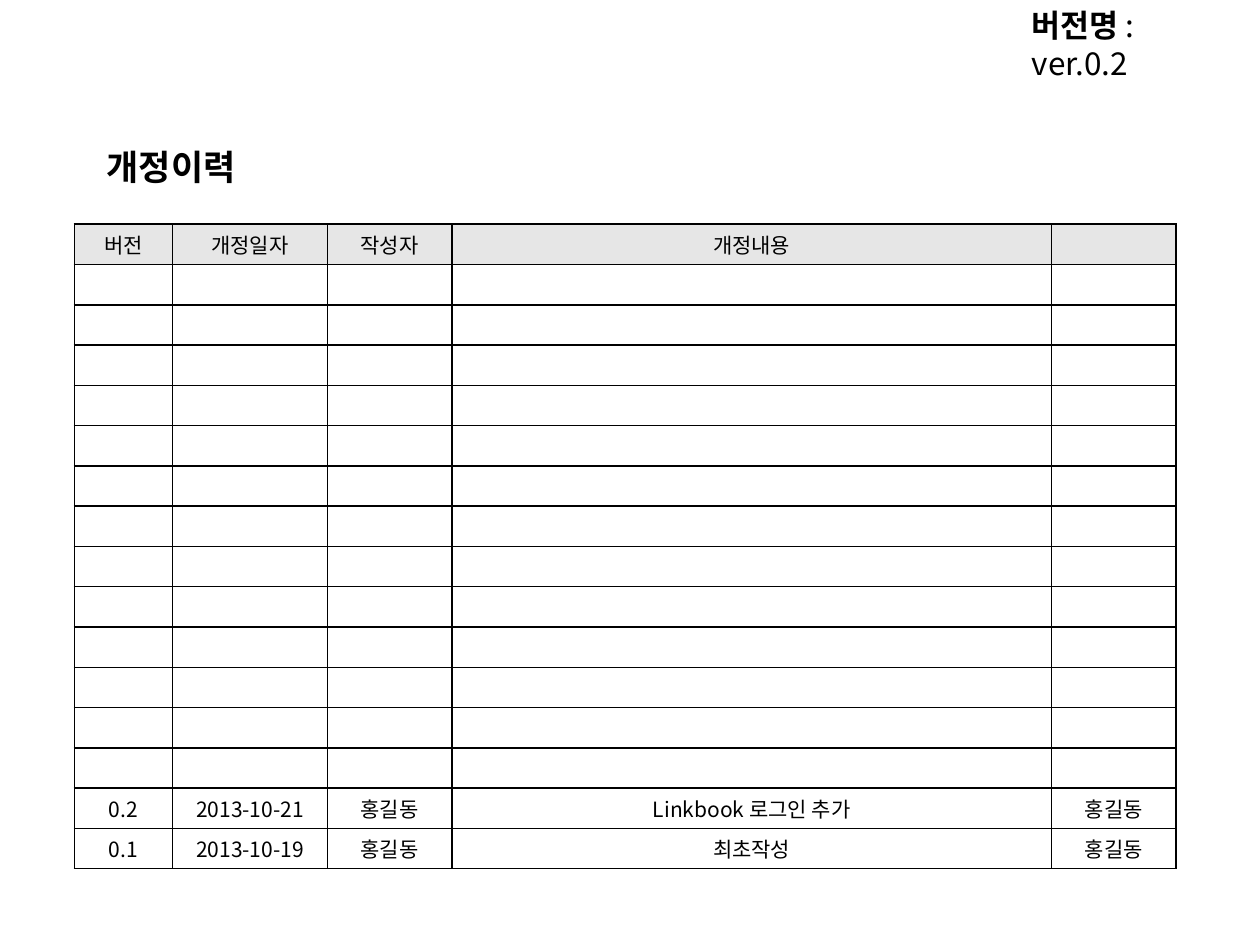
from lxml import etree
from pptx import Presentation
from pptx.dml.color import RGBColor
from pptx.enum.text import MSO_ANCHOR, PP_ALIGN
from pptx.oxml.ns import qn
from pptx.util import Cm, Pt

MIDDLE = MSO_ANCHOR.MIDDLE
TOP = MSO_ANCHOR.TOP
CENTER = PP_ALIGN.CENTER

BLACK = RGBColor(0x00, 0x00, 0x00)
HEADER_GRAY = RGBColor(0xE6, 0xE6, 0xE6)
FONT = "Noto Sans CJK KR"
TITLE_FONT = "Arial"

COLUMN_WIDTHS = (1.98, 3.12, 2.51, 12.09, 2.51)
ROW_COUNT = 16
TABLE_HEIGHT = 13
HEADER = ("버전", "개정일자", "작성자", "개정내용", "")
REVISIONS = (
    ("0.2", "2013-10-21", "홍길동", "Linkbook 로그인 추가", "홍길동"),
    ("0.1", "2013-10-19", "홍길동", "최초작성", "홍길동"),
)


def add_text(paragraph, text, size=12, font=FONT, bold=False):
    run = paragraph.add_run()
    run.text = text
    run.font.size = Pt(size)
    run.font.name = font
    run.font.bold = bold
    run.font.color.rgb = BLACK
    properties = run._r.get_or_add_rPr()
    etree.SubElement(properties, qn("a:ea"), typeface=font)


def add_text_box(slide, left, top, width, height, anchor=TOP):
    box = slide.shapes.add_textbox(Cm(left), Cm(top), Cm(width), Cm(height))
    frame = box.text_frame
    frame.word_wrap = True
    frame.vertical_anchor = anchor
    return frame


def set_borders(cell):
    properties = cell._tc.get_or_add_tcPr()
    for side in ("a:lnL", "a:lnR", "a:lnT", "a:lnB"):
        line = etree.SubElement(properties, qn(side), w=str(Pt(1)))
        fill = etree.SubElement(line, qn("a:solidFill"))
        etree.SubElement(fill, qn("a:srgbClr"), val=str(BLACK))


def format_cell(cell, text, fill_color=None):
    cell.margin_left = cell.margin_right = Cm(0.18)
    cell.margin_top = cell.margin_bottom = 0
    cell.vertical_anchor = MIDDLE
    set_borders(cell)
    if fill_color is None:
        cell.fill.background()
    else:
        cell.fill.solid()
        cell.fill.fore_color.rgb = fill_color
    paragraph = cell.text_frame.paragraphs[0]
    paragraph.alignment = CENTER
    if text:
        add_text(paragraph, text)
    else:
        etree.SubElement(paragraph._p, qn("a:endParaRPr"), sz="1200")


def add_revision_table(slide):
    frame = slide.shapes.add_table(
        ROW_COUNT, len(COLUMN_WIDTHS), Cm(1.5), Cm(4.52),
        Cm(sum(COLUMN_WIDTHS)), Cm(TABLE_HEIGHT))
    table = frame.table
    for column, width in zip(table.columns, COLUMN_WIDTHS):
        column.width = Cm(width)
    empty_rows = [("",) * len(HEADER)] * (ROW_COUNT - 1 - len(REVISIONS))
    contents = [HEADER, *empty_rows, *REVISIONS]
    for index, (row, texts) in enumerate(zip(table.rows, contents)):
        row.height = Cm(TABLE_HEIGHT / ROW_COUNT)
        for cell, text in zip(row.cells, texts):
            format_cell(cell, text, HEADER_GRAY if index == 0 else None)


def main():
    presentation = Presentation()
    presentation.slide_width = Cm(25.4)
    presentation.slide_height = Cm(19.05)
    slide = presentation.slides.add_slide(presentation.slide_layouts[6])

    version = add_text_box(slide, 20.55, 0, 4.85, 1.02)
    version.margin_right = Cm(1)
    add_text(version.paragraphs[0], "버전명 ", size=18, bold=True)
    add_text(version.paragraphs[0], ": ver.0.2", size=18)

    add_revision_table(slide)

    title = add_text_box(slide, 1.9, 2.73, 22, 1.27, anchor=MIDDLE)
    add_text(title.paragraphs[0], "개정이력", size=20, font=TITLE_FONT, bold=True)

    presentation.save("out.pptx")


if __name__ == "__main__":
    main()
